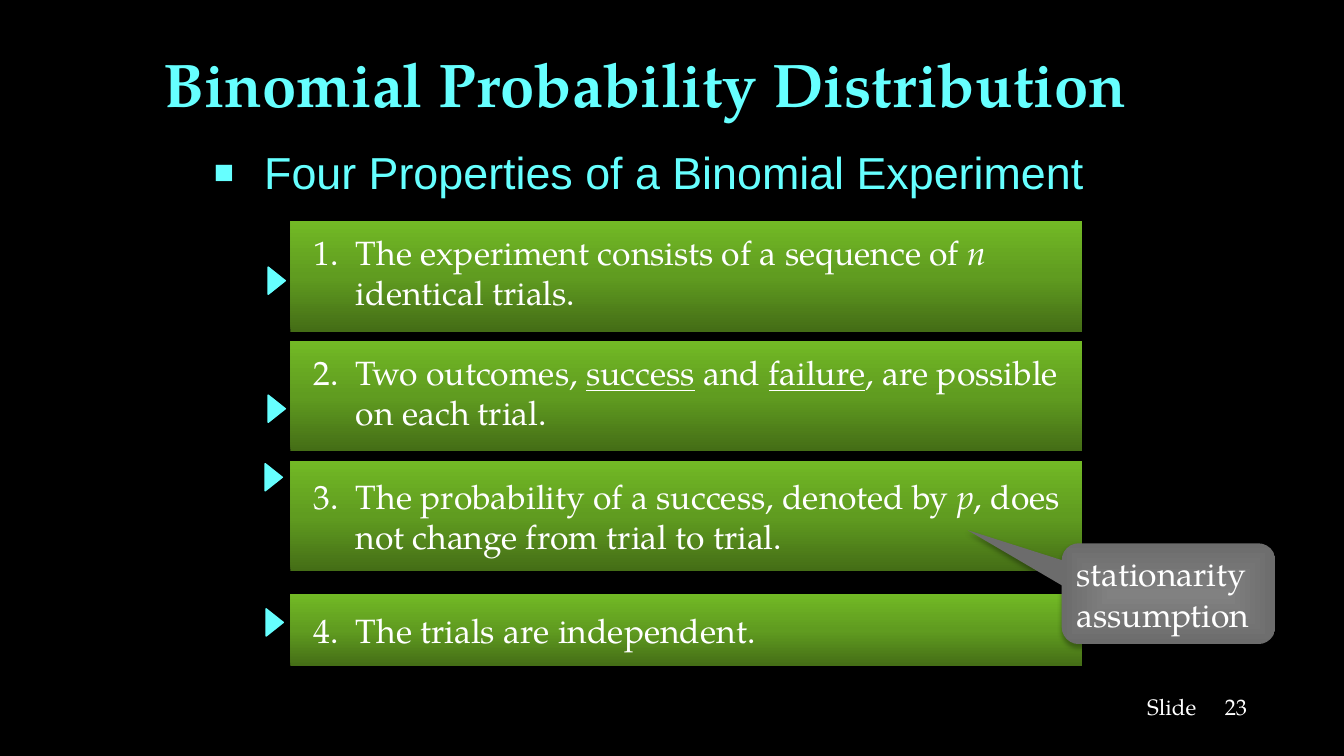
from dataclasses import dataclass

from pptx import Presentation
from pptx.dml.color import RGBColor
from pptx.enum.shapes import MSO_SHAPE
from pptx.enum.text import MSO_ANCHOR, MSO_AUTO_SIZE, PP_ALIGN
from pptx.oxml import parse_xml
from pptx.util import Inches, Pt

RECTANGLE = MSO_SHAPE.RECTANGLE
TRIANGLE = MSO_SHAPE.ISOSCELES_TRIANGLE
CALLOUT = MSO_SHAPE.ROUNDED_RECTANGULAR_CALLOUT
TOP, MIDDLE = MSO_ANCHOR.TOP, MSO_ANCHOR.MIDDLE
LEFT, CENTER = PP_ALIGN.LEFT, PP_ALIGN.CENTER
NO_AUTOFIT = MSO_AUTO_SIZE.NONE

SERIF, SANS = "TeX Gyre Pagella", "Arial"
BLACK, WHITE, CYAN = "000000", "FFFFFF", "66FFFF"
GREEN_STOPS = ((0, "446D16"), (50, "609C20"), (100, "72B925"))
GRAY_STOPS = ((0, "818181"), (100, "6C6C6C"))
UPWARD = '<a:lin ang="16200000" scaled="0"/>'
FROM_CENTER = ('<a:path path="rect"><a:fillToRect l="50000" t="50000" '
               'r="50000" b="50000"/></a:path>')
NAMESPACE = 'xmlns:a="http://schemas.openxmlformats.org/drawingml/2006/main"'


@dataclass
class Run:
    text: str
    italic: bool = False
    underline: bool = False


@dataclass
class Property:
    top: float
    height: float
    lines: list
    marker_left: float
    marker_top: float
    bottom_inset: float = 0.05


PROPERTIES = [
    Property(2.19, 1.1, [[Run("1.\tThe experiment consists of a sequence of "), Run("n", italic=True)],
                         [Run("identical trials.")]], 2.61, 2.7, 0.13),
    Property(3.38, 1.1, [[Run("2.\tTwo outcomes, "), Run("success", underline=True), Run(" and "),
                          Run("failure", underline=True), Run(", are possible")],
                         [Run("on each trial.")]], 2.61, 3.97, 0.13),
    Property(4.57, 1.1, [[Run("3.\tThe probability of a success, denoted by "),
                          Run("p", italic=True), Run(", does")],
                         [Run("not change from trial to trial.")]], 2.58, 4.65),
    Property(5.89, 0.72, [[Run("4.\tThe trials are independent.")]], 2.59, 6.09),
]


def color(value: str) -> RGBColor:
    return RGBColor.from_string(value)


def write(shape, lines: list, *, size: float = 24, font: str = SERIF, fill: str = WHITE,
          bold: bool = False, align=LEFT, anchor=TOP, hanging: float = 0,
          left_inset: float = 0.1, bottom_inset: float = 0.05, wrap: bool = True) -> None:
    """Write lines of runs as one paragraph with a hanging indent."""
    frame = shape.text_frame
    frame.auto_size, frame.word_wrap, frame.vertical_anchor = NO_AUTOFIT, wrap, anchor
    frame.margin_left, frame.margin_right = Inches(left_inset), Inches(0.1)
    frame.margin_top, frame.margin_bottom = Inches(0.05), Inches(bottom_inset)
    paragraph = frame.paragraphs[0]
    paragraph.alignment = align
    properties = paragraph._p.get_or_add_pPr()
    properties.set("marL", str(Inches(hanging)))
    properties.set("indent", str(-Inches(hanging)))
    for index, line in enumerate(lines):
        if index:
            paragraph.add_line_break()
        for part in line:
            run = paragraph.add_run()
            run.text = part.text
            run.font.name, run.font.size, run.font.bold = font, Pt(size), bold
            run.font.italic, run.font.underline = part.italic, part.underline
            run.font.color.rgb = color(fill)


def place(shape, left: float, top: float, width: float, height: float) -> None:
    shape.left, shape.top = Inches(left), Inches(top)
    shape.width, shape.height = Inches(width), Inches(height)


def add_shape(slide, kind, left: float, top: float, width: float, height: float, fill: str = CYAN):
    shape = slide.shapes.add_shape(kind, Inches(left), Inches(top), Inches(width), Inches(height))
    shape.shadow.inherit = False
    shape.fill.solid()
    shape.fill.fore_color.rgb = color(fill)
    shape.line.fill.background()
    return shape


def add_gradient_shape(slide, kind, left: float, top: float, width: float, height: float,
                       stops: tuple, direction: str):
    """Add a shape with a gradient fill and a soft shadow below it."""
    shape = add_shape(slide, kind, left, top, width, height)
    stop_xml = "".join(f'<a:gs pos="{position * 1000}"><a:srgbClr val="{value}"/></a:gs>'
                       for position, value in stops)
    gradient = parse_xml(f'<a:gradFill {NAMESPACE} rotWithShape="1"><a:gsLst>{stop_xml}</a:gsLst>'
                         f'{direction}</a:gradFill>')
    properties = shape._element.spPr
    properties.replace(properties.find("{*}solidFill"), gradient)
    properties.find("{*}effectLst").append(parse_xml(
        f'<a:outerShdw {NAMESPACE} blurRad="{Pt(3.5)}" dist="{Pt(2.2)}" dir="5400000" '
        f'rotWithShape="0"><a:srgbClr val="{BLACK}"><a:alpha val="32000"/></a:srgbClr></a:outerShdw>'))
    return shape


def add_property(slide, item: Property) -> None:
    box = add_gradient_shape(slide, RECTANGLE, 2.88, item.top, 7.85, item.height, GREEN_STOPS, UPWARD)
    write(box, item.lines, anchor=MIDDLE, hanging=0.42, left_inset=0.23,
          bottom_inset=item.bottom_inset, wrap=False)


def add_marker(slide, item: Property) -> None:
    marker = add_shape(slide, TRIANGLE, item.marker_left, item.marker_top, 0.27, 0.17)
    marker.rotation = 90
    marker.line.color.rgb = color(CYAN)
    marker.line.width = Pt(1)


def add_label(slide, text: str, left: float, width: float) -> None:
    label = slide.shapes.add_textbox(Inches(left), Inches(6.83), Inches(width), Inches(0.37))
    write(label, [[Run(text)]], size=16)


def main() -> None:
    presentation = Presentation()
    presentation.slide_width, presentation.slide_height = Inches(13.33), Inches(7.5)
    slide = presentation.slides.add_slide(presentation.slide_layouts[1])
    slide.background.fill.solid()
    slide.background.fill.fore_color.rgb = color(BLACK)

    # Slide number
    add_label(slide, "Slide", 11.28, 0.75)
    add_label(slide, "23", 12.05, 0.5)

    # Title and heading
    title, body = slide.placeholders
    place(title, 1.45, 0.43, 9.9, 0.79)
    write(title, [[Run("Binomial Probability Distribution")]], size=44, fill=CYAN, bold=True,
          align=CENTER, anchor=MIDDLE)
    place(body, 2.02, 1.39, 8.89, 4.72)
    write(body, [[Run("Four Properties of a Binomial Experiment")]], size=32, font=SANS,
          fill=CYAN, hanging=0.5)
    bullet_properties = body.text_frame.paragraphs[0]._p.get_or_add_pPr()
    for bullet in (f'<a:buClr {NAMESPACE}><a:srgbClr val="{CYAN}"/></a:buClr>',
                   f'<a:buSzPct {NAMESPACE} val="75000"/>',
                   f'<a:buFont {NAMESPACE} typeface="{SANS}"/>',
                   f'<a:buChar {NAMESPACE} char="■"/>'):
        bullet_properties.append(parse_xml(bullet))

    # Four properties
    for item in PROPERTIES:
        add_property(slide, item)

    # Callout on the third property
    callout = add_gradient_shape(slide, CALLOUT, 10.53, 5.39, 2.12, 1, GRAY_STOPS, FROM_CENTER)
    for index, value in enumerate((-0.94, -0.63, 0.17)):
        callout.adjustments[index] = value
    write(callout, [[Run("stationarity")], [Run("assumption")]])

    # Markers
    for item in PROPERTIES:
        add_marker(slide, item)

    presentation.save("out.pptx")


if __name__ == "__main__":
    main()
